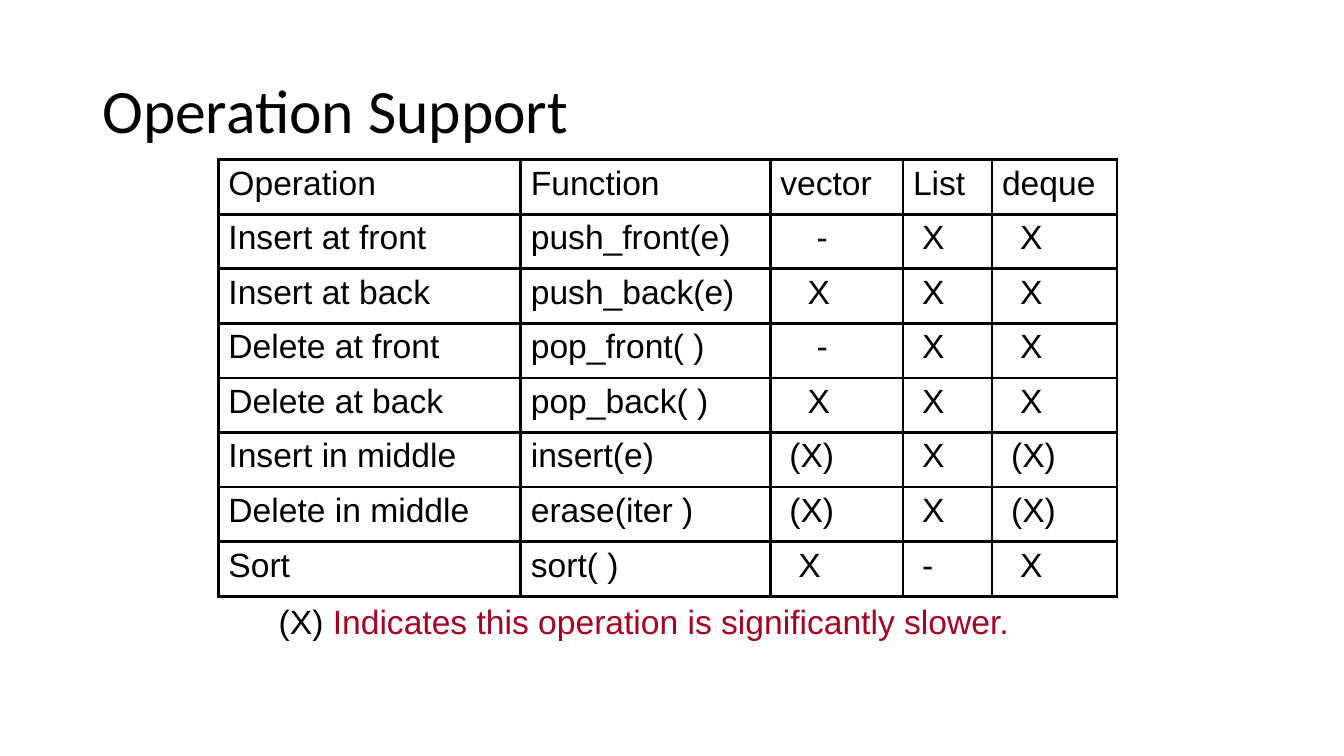
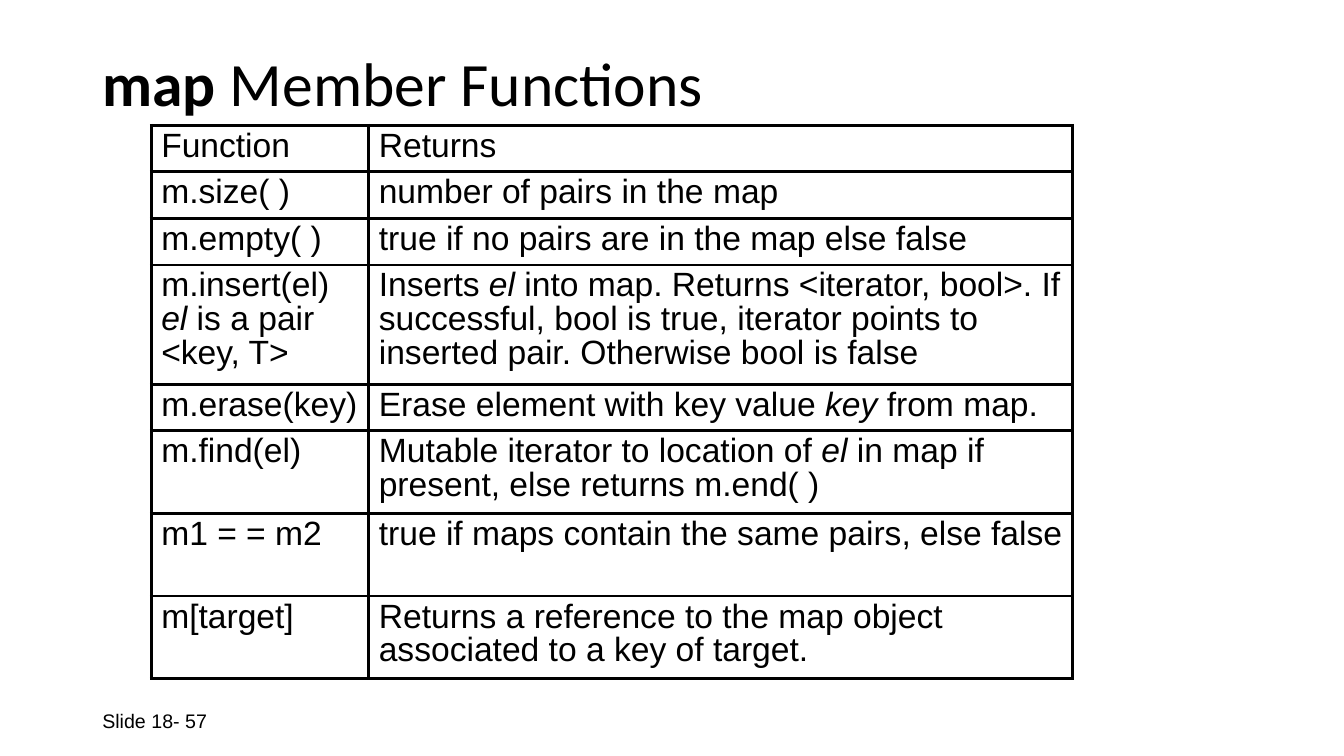
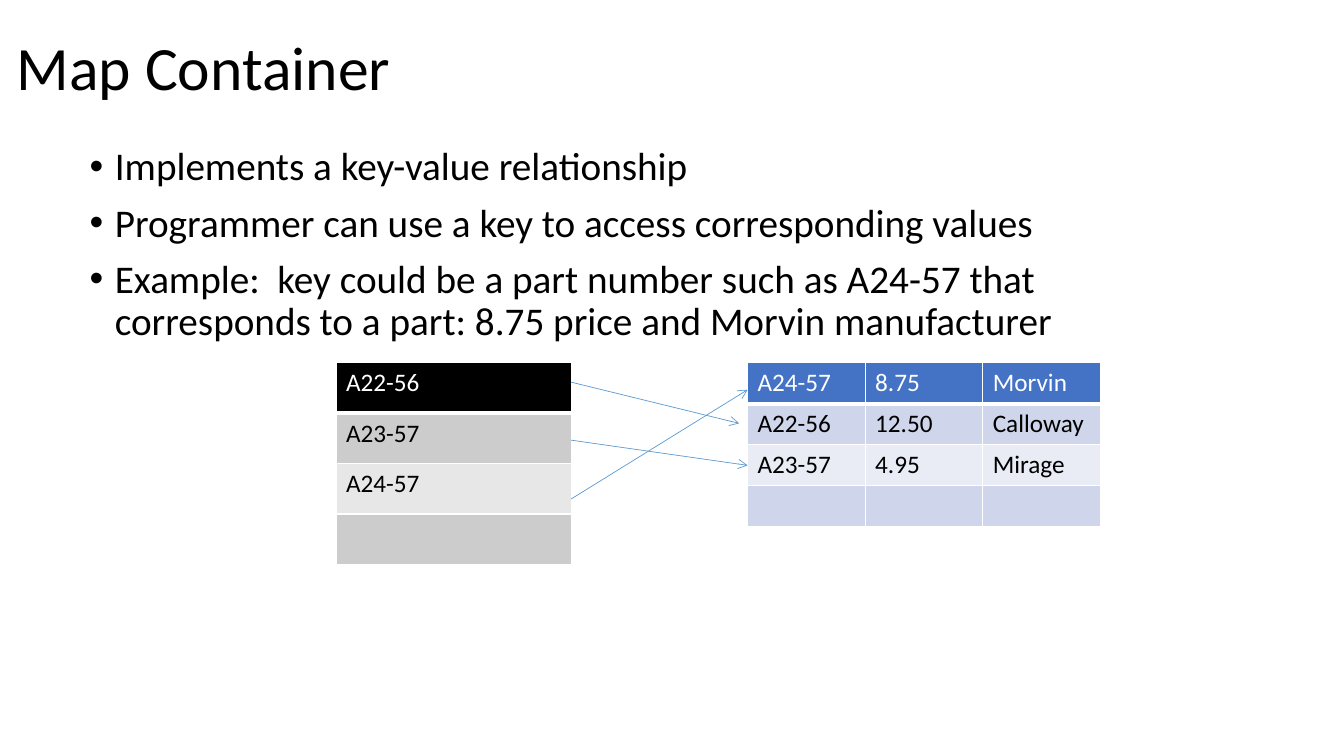
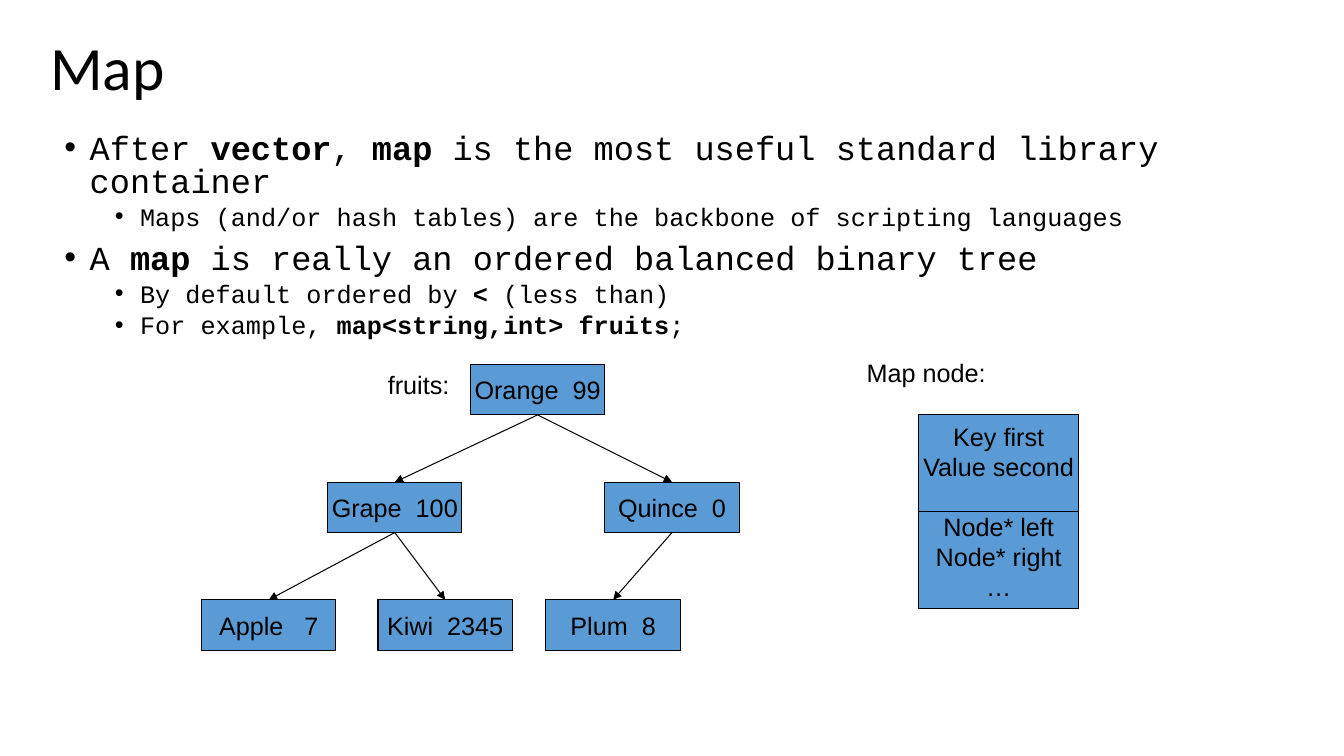
from lxml import etree
from pptx import Presentation
from pptx import util as u
from pptx.dml.color import RGBColor
from pptx.enum import shapes, text
from pptx.oxml.ns import qn

COLS, ROWS = 160, 90
UNIT = u.Inches(1) // 12

THEME = {
    "black": "000000", "white": "FFFFFF", "red": "A50021",
    "node": "5B9BD5", "head": "4472C4", "odd": "CFD5EA", "even": "E9EBF5",
    "grey_odd": "CCCCCC", "grey_even": "E7E7E7",
    "sans": "Arial", "main": "Calibri", "mono": "Courier New",
    "title": 44, "bullet": 28, "text": 24, "small": 18, "foot": 14,
    "rule": 2.25, "thin": 0.75, "hair": 0.5, "grid": 1, "head_rule": 3,
}
T = THEME

BASE = {"name": T["sans"], "size": T["small"], "color": T["black"]}
TITLE = BASE | {"name": T["main"], "size": T["title"], "para": {"line_spacing": 0.9}}
LARGE = BASE | {"size": T["text"]}
TIGHT = LARGE | {"para": {"line_spacing": 0.9}, "emph": {"italic": True}}
CELL = BASE | {"name": T["main"]}
FOOT = BASE | {"size": T["foot"]}
CENTRED = BASE | {"para": {"alignment": text.PP_ALIGN.CENTER}}
BULLET = BASE | {"name": T["main"], "size": T["bullet"], "indent": 0.25, "bullet": True,
                 "para": {"line_spacing": 0.9, "space_before": u.Pt(10)}}
MONO = BULLET | {"name": T["mono"], "size": T["text"], "emph": {"bold": True},
                 "para": {"line_spacing": 0.8, "space_before": u.Pt(10)}}
MONO_SUB = MONO | {"size": T["small"], "indent": 0.75,
                   "para": {"line_spacing": 0.8, "space_before": u.Pt(5)}}

SPACE = 0.09
SUPPORT = [
    ("Operation", "Function", "vector", "List", "deque"),
    ("Insert at front", "push_front(e)", (4, "-"), (1, "X"), (2, "X")),
    ("Insert at back", "push_back(e)", (3, "X"), (1, "X"), (2, "X")),
    ("Delete at front", "pop_front( )", (4, "-"), (1, "X"), (2, "X")),
    ("Delete at back", "pop_back( )", (3, "X"), (1, "X"), (2, "X")),
    ("Insert in middle", "insert(e)", (1, "(X)"), (1, "X"), (1, "(X)")),
    ("Delete in middle", "erase(iter )", (1, "(X)"), (1, "X"), (1, "(X)")),
    ("Sort", "sort( )", (2, "X"), (1, "-"), (2, "X")),
]
MEMBERS = [
    ("Function", "Returns"),
    ("m.size( )", "number of pairs in the map"),
    ("m.empty( )", "true if no pairs are in the map else false"),
    ("m.insert(el)\n|el| is a pair\n<key, T>",
     "Inserts |el| into map. Returns <iterator, bool>. If successful, bool is true, "
     "iterator points to inserted pair. Otherwise bool is false"),
    ("m.erase(key)", "Erase element with key value |key| from map."),
    ("m.find(el)", "Mutable iterator to location of |el| in map if present, else returns m.end( )"),
    ("m1 = = m2", "true if maps contain the same pairs, else false"),
    ("m[target]", "Returns a reference to the map object associated to a key of target."),
]
MEMBER_ROWS = [5.55, 5.55, 5.55, 14.2, 5.55, 9.84, 9.84, 9.84]

CONTAINER = [
    "Implements a key-value relationship",
    "Programmer can use a key to access corresponding values",
    "Example:  key could be a part number such as A24-57 that corresponds to a part: "
    "8.75 price and Morvin manufacturer",
]
KEYS = [("A22-56",), ("A23-57",), ("A24-57",), ("",)]
PARTS = [
    ("A24-57", "8.75", "Morvin"),
    ("A22-56", "12.50", "Calloway"),
    ("A23-57", "4.95", "Mirage"),
    ("", "", ""),
]
KEY_ARROWS = [((68, 45.5), (88, 50.4)), ((68, 52.4), (89, 55.4)), ((68, 59.4), (89, 46.4))]

MAP_POINTS = [
    ("After |vector|, |map| is the most useful standard library container", MONO),
    ("Maps (and/or hash tables) are the backbone of scripting languages", MONO_SUB),
    ("A |map| is really an ordered balanced binary tree", MONO),
    ("By default ordered by |< |(less than)", MONO_SUB),
    ("For example, |map<string,int> fruits|;", MONO_SUB),
]
TREE_TOP, TREE_STEP, NODE_W, NODE_H = 43.4, 14, 16, 6
TREE = {
    "Orange  99": (56, 0, None),
    "Grape  100": (39, 1, "Orange  99"),
    "Quince  0": (72, 1, "Orange  99"),
    "Apple   7": (24, 2, "Grape  100"),
    "Kiwi  2345": (45, 2, "Grape  100"),
    "Plum  8": (65, 2, "Quince  0"),
}
AFTER_GAP = CENTRED | {"para": CENTRED["para"] | {"space_before": u.Pt(21)}}
NODE_FIELDS = [("Key first", CENTRED), ("Value second", CENTRED), ("Node* left", AFTER_GAP),
               ("Node* right", CENTRED), ("…", CENTRED)]


def g(*values):
    return [round(v * UNIT) for v in values]


def assign(obj, values):
    for key, value in values.items():
        setattr(obj, key, value)


def set_font(f, values):
    for key, value in values.items():
        if key == "color":
            f.color.rgb = RGBColor.from_string(value)
        else:
            setattr(f, key, u.Pt(value) if key == "size" else value)


def write(tf, lines):
    for i, (line, style) in enumerate(lines):
        p = tf.add_paragraph() if i else tf.paragraphs[0]
        assign(p, style.get("para", {}))
        if "indent" in style:
            pPr = p._p.get_or_add_pPr()
            pPr.set("marL", str(u.Inches(style["indent"])))
            if style.get("bullet"):
                pPr.set("indent", str(-u.Inches(0.25)))
                etree.SubElement(pPr, qn("a:buFont"), typeface=T["sans"])
                etree.SubElement(pPr, qn("a:buChar"), char="•")
        font = {k: style[k] for k in ("name", "size", "color")}
        for j, part in enumerate(line.split("|")):
            if part:
                r = p.add_run()
                r.text = part
                set_font(r.font, font | (style.get("emph", {}) if j % 2 else {}))


def add_text(s, box, lines, **frame):
    tf = s.shapes.add_textbox(*g(*box)).text_frame
    assign(tf, {"word_wrap": True} | frame)
    write(tf, lines)


def add_slide(prs, title, box):
    s = prs.slides.add_slide(prs.slide_layouts[6])
    add_text(s, box, [(title, TITLE | {"emph": {"bold": True}})],
             vertical_anchor=text.MSO_ANCHOR.MIDDLE)
    return s


def set_borders(cell, color, widths):
    tcPr = cell._tc.get_or_add_tcPr()
    for i, (side, width) in enumerate(zip("LRTB", widths)):
        ln = etree.Element(qn("a:ln" + side), w=str(u.Pt(width)))
        fill = etree.SubElement(ln, qn("a:solidFill"))
        etree.SubElement(fill, qn("a:srgbClr"), val=color)
        tcPr.insert(i, ln)


def add_table(s, at, widths, heights, rows, style, line, width, fills=None):
    box = g(*at, sum(widths), sum(heights))
    table = s.shapes.add_table(len(rows), len(widths), *box).table
    assign(table, {"first_row": False, "horz_banding": False})
    for column, w in zip(table.columns, g(*widths)):
        column.width = w
    for y, (row, h) in enumerate(zip(rows, g(*heights))):
        table.rows[y].height = h
        for x, value in enumerate(row):
            cell, look = table.cell(y, x), style
            if isinstance(value, tuple):
                look = style | {"indent": value[0] * SPACE}
                value = value[1]
            if fills:
                cell.fill.solid()
                cell.fill.fore_color.rgb = RGBColor.from_string(fills[y])
                if y == 0:
                    look = look | {"color": T["white"]}
            else:
                cell.fill.background()
            write(cell.text_frame, [(v, look) for v in value.split("\n")])
            top = T["head_rule"] if fills and y == 1 else width
            bottom = T["head_rule"] if fills and y == 0 else width
            set_borders(cell, line, (width, width, top, bottom))


def add_line(s, color, width, start=(0, 0), end=(0, 0), joins=None, tip=None):
    c = s.shapes.add_connector(shapes.MSO_CONNECTOR.STRAIGHT, *g(*start, *end))
    if joins:
        c.begin_connect(*joins[0])
        c.end_connect(*joins[1])
    c.line.color.rgb = RGBColor.from_string(color)
    c.line.width = u.Pt(width)
    spPr = c._element.spPr
    if tip:
        etree.SubElement(spPr.find(qn("a:ln")), qn("a:tailEnd"), type=tip)
    etree.SubElement(spPr, qn("a:effectLst"))


def add_box(s, box, lines):
    sp = s.shapes.add_shape(shapes.MSO_SHAPE.RECTANGLE, *g(*box))
    sp.shadow.inherit = False
    sp.fill.solid()
    sp.fill.fore_color.rgb = RGBColor.from_string(T["node"])
    sp.line.color.rgb = RGBColor.from_string(T["black"])
    sp.line.width = u.Pt(T["thin"])
    assign(sp.text_frame, {"word_wrap": False, "vertical_anchor": text.MSO_ANCHOR.MIDDLE})
    write(sp.text_frame, lines)
    return sp


def operation_support(prs):
    s = add_slide(prs, "Operation Support", (11, 4.8, 138, 17.4))
    add_table(s, (26, 19), [36, 29.7, 15.8, 10.6, 14.9], [6.5] * len(SUPPORT), SUPPORT,
              LARGE, T["black"], T["rule"])
    add_text(s, (32, 71, 89.6, 6),
             [("(X)| Indicates this operation is significantly slower.",
               LARGE | {"emph": {"color": T["red"]}})],
             word_wrap=False, auto_size=text.MSO_AUTO_SIZE.SHAPE_TO_FIT_TEXT)


def member_functions(prs):
    s = add_slide(prs, "|map| Member Functions", (11, 1.6, 138, 17.4))
    add_table(s, (18, 14.9), [25.9, 83.8], MEMBER_ROWS, MEMBERS, TIGHT, T["black"], T["rule"])
    add_text(s, (11, 83.4, 36, 4.8), [("Slide 18- 57", FOOT)],
             vertical_anchor=text.MSO_ANCHOR.MIDDLE)


def map_container(prs):
    s = add_slide(prs, "Map Container", (0.8, 0.8, 136.4, 15.1))
    add_text(s, (9.5, 16.9, 138, 57), [(line, BULLET) for line in CONTAINER])
    add_table(s, (40, 43.2), [28], [6] * len(KEYS), KEYS, CELL, T["white"], T["grid"],
              [T[k] for k in ("black", "grey_odd", "grey_even", "grey_odd")])
    add_table(s, (89, 43.2), [14] * 3, [4.87] * len(PARTS), PARTS, CELL, T["white"], T["grid"],
              [T[k] for k in ("head", "odd", "even", "odd")])
    for start, end in KEY_ARROWS:
        add_line(s, T["node"], T["hair"], start, end, tip="arrow")


def map_tree(prs):
    s = add_slide(prs, "Map", (4.8, 0.8, 136.4, 15.1))
    add_text(s, (6.5, 15.5, 133, 21), MAP_POINTS)
    nodes = {}
    for label, (x, level, parent) in TREE.items():
        box = (x, TREE_TOP + level * TREE_STEP, NODE_W, NODE_H)
        nodes[label] = add_box(s, box, [(label, CENTRED)])
        if parent:
            add_line(s, T["black"], T["thin"], tip="triangle",
                     joins=((nodes[parent], 2), (nodes[label], 0)))
    add_text(s, (45, TREE_TOP, 13, 4.8), [("fruits:", BASE)])
    add_text(s, (102, 41.9, 17, 4.8), [("Map node:", BASE)])
    record = add_box(s, (109.4, 49.4, 19, 23), NODE_FIELDS)
    add_line(s, T["black"], T["thin"], joins=((record, 1), (record, 3)))


def main():
    prs = Presentation()
    prs.slide_width, prs.slide_height = g(COLS, ROWS)
    for build in (operation_support, member_functions, map_container, map_tree):
        build(prs)
    prs.save("out.pptx")


if __name__ == "__main__":
    main()
